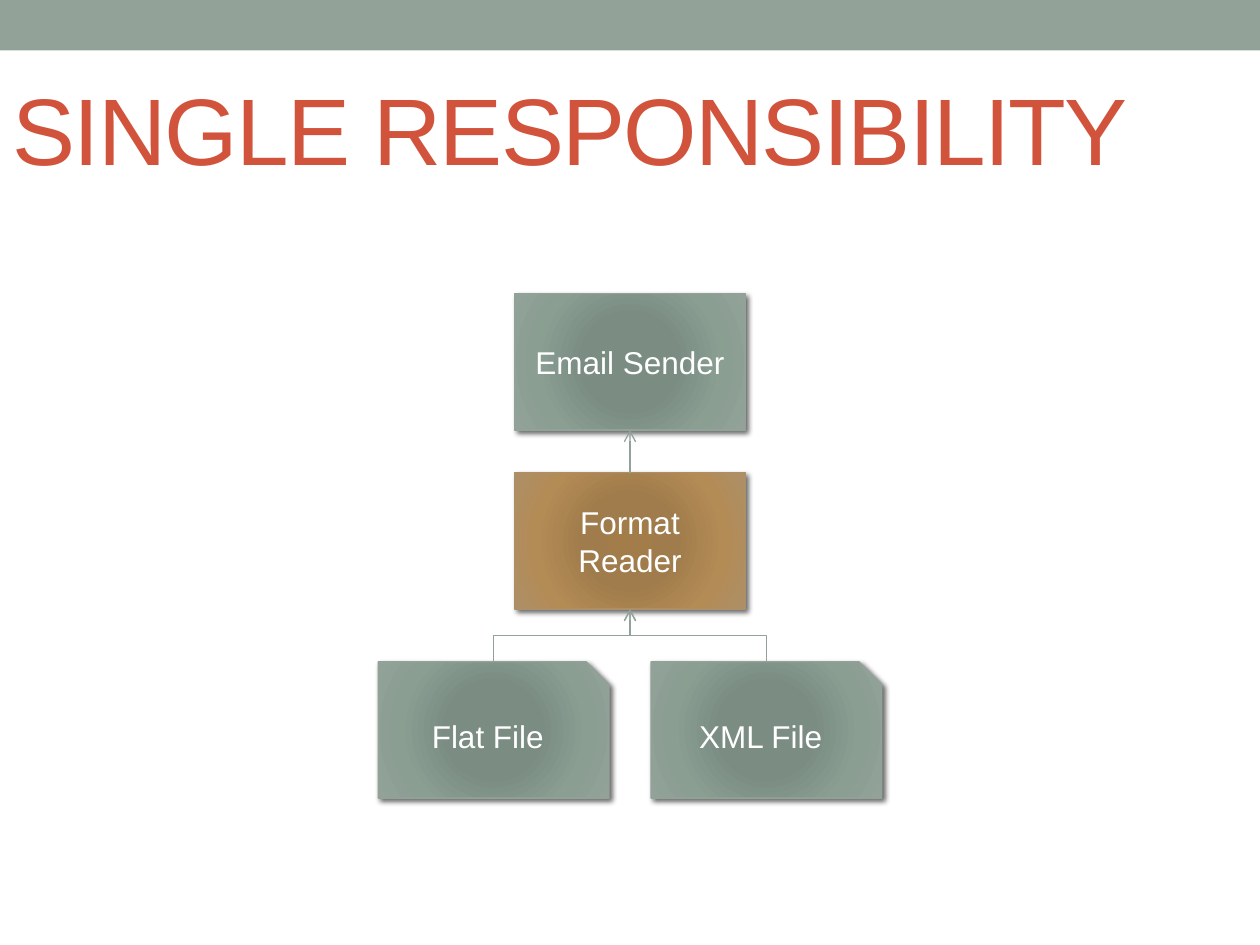
from dataclasses import dataclass

from lxml import etree
from pptx import Presentation
from pptx.dml.color import RGBColor
from pptx.enum.shapes import MSO_CONNECTOR, MSO_SHAPE
from pptx.enum.text import MSO_ANCHOR, MSO_AUTO_SIZE, PP_ALIGN
from pptx.oxml import parse_xml
from pptx.oxml.ns import nsdecls, qn
from pptx.util import Cm, Pt

RECTANGLE = MSO_SHAPE.RECTANGLE
SNIPPED = MSO_SHAPE.SNIP_1_RECTANGLE
ELBOW = MSO_CONNECTOR.ELBOW
TOP, MIDDLE = MSO_ANCHOR.TOP, MSO_ANCHOR.MIDDLE
LEFT, CENTER = PP_ALIGN.LEFT, PP_ALIGN.CENTER
NO_FIT = MSO_AUTO_SIZE.NONE
TOP_SITE, BOTTOM_SITE = 0, 2


@dataclass(frozen=True)
class Theme:
    """Colours and type sizes of the deck."""
    font: str = "Arial"
    title_size: int = 54
    box_size: int = 18
    line_width: float = 0.75
    title: str = "D2533C"
    text: str = "FFFFFF"
    sage: tuple = ("7B8E82", "7B8D83", "8A9E92", "93A299")
    ochre: tuple = ("A37D49", "A07C4C", "B38B55", "AD8F67")
    stops: tuple = (0, 34, 70, 100)


THEME = Theme()
CENTER_X = 12.7
BOX_WIDTH, BOX_HEIGHT = 4.65, 2.75
FILE_OFFSET = 2.75


def add_text(frame, text, size, color, align):
    """Write one formatted run into the first paragraph of a frame."""
    frame.word_wrap = True
    para = frame.paragraphs[0]
    para.alignment = align
    span = para.add_run()
    span.text = text
    span.font.name = THEME.font
    span.font.size = Pt(size)
    span.font.color.rgb = RGBColor.from_string(color)
    return span


def add_title(page, text):
    """Place and format the title placeholder."""
    title = page.shapes.title
    title.left, title.top, title.width, title.height = Cm(0), Cm(1.14), Cm(25.4), Cm(3.18)
    frame = title.text_frame
    frame.auto_size = NO_FIT
    frame.vertical_anchor = TOP
    frame.margin_top = Cm(0.29)
    span = add_text(frame, text, THEME.title_size, THEME.title, LEFT)
    span.font._element.set("spc", "-100")


def add_band(page):
    """Draw the plain band along the top edge."""
    band = page.shapes.add_shape(RECTANGLE, Cm(0), Cm(0), Cm(25.4), Cm(1.02))
    band.shadow.inherit = False
    band.fill.solid()
    band.fill.fore_color.rgb = RGBColor.from_string(THEME.sage[-1])
    band.line.fill.background()


def radial_fill(colors):
    """Return a circular gradient fill element."""
    stops = "".join(
        f'<a:gs pos="{stop * 1000}"><a:srgbClr val="{color}"/></a:gs>'
        for stop, color in zip(THEME.stops, colors))
    return parse_xml(
        f'<a:gradFill {nsdecls("a")} rotWithShape="1"><a:gsLst>{stops}</a:gsLst>'
        '<a:path path="circle"><a:fillToRect l="100000" t="100000" r="100000" b="100000"/>'
        '</a:path></a:gradFill>')


def soft_shadow():
    """Return an effect list with one outer shadow."""
    return parse_xml(
        f'<a:effectLst {nsdecls("a")}><a:outerShdw blurRad="{Pt(3)}" dist="{Pt(2)}" '
        'dir="2700000" rotWithShape="0"><a:srgbClr val="000000"><a:alpha val="60000"/>'
        '</a:srgbClr></a:outerShdw></a:effectLst>')


def add_box(page, kind, center, top, text, colors):
    """Draw a labelled box with gradient and shadow."""
    box = page.shapes.add_shape(
        kind, Cm(center - BOX_WIDTH / 2), Cm(top), Cm(BOX_WIDTH), Cm(BOX_HEIGHT))
    box.line.color.rgb = RGBColor.from_string(colors[-1])
    box.line.width = Pt(THEME.line_width)
    properties = box._element.spPr
    properties.find(qn("a:prstGeom")).addnext(radial_fill(colors))
    properties.append(soft_shadow())
    box.text_frame.vertical_anchor = MIDDLE
    add_text(box.text_frame, text, THEME.box_size, THEME.text, CENTER)
    return box


def add_arrow(page, lower, upper):
    """Run an elbow arrow from the top of one box to the bottom of another."""
    start_x, start_y = lower.left + lower.width // 2, lower.top
    end_x, end_y = upper.left + upper.width // 2, upper.top + upper.height
    arrow = page.shapes.add_connector(ELBOW, start_x, start_y, end_x, end_y)
    if lower.auto_shape_type == RECTANGLE:
        arrow.begin_connect(lower, TOP_SITE)
    arrow.end_connect(upper, BOTTOM_SITE)
    arrow.line.color.rgb = RGBColor.from_string(THEME.sage[-1])
    arrow.line.width = Pt(THEME.line_width)
    properties = arrow._element.spPr
    etree.SubElement(properties.find(qn("a:ln")), qn("a:tailEnd"), type="arrow")
    etree.SubElement(properties, qn("a:effectLst"))
    turn_upright(arrow, start_x, start_y, end_x, end_y)


def turn_upright(arrow, start_x, start_y, end_x, end_y):
    """Rotate an elbow so that it leaves and arrives vertically."""
    length, spread = start_y - end_y, abs(end_x - start_x)
    arrow.left = (start_x + end_x - length) // 2
    arrow.top = (start_y + end_y - spread) // 2
    arrow.width, arrow.height = length, spread
    frame = arrow._element.spPr.find(qn("a:xfrm"))
    frame.set("rot", "16200000")
    frame.set("flipH", "0")
    frame.set("flipV", "1" if end_x < start_x else "0")


def main():
    """Build the slide and save the deck."""
    deck = Presentation()
    deck.slide_width, deck.slide_height = Cm(25.4), Cm(19.05)
    page = deck.slides.add_slide(deck.slide_layouts[5])
    add_band(page)
    add_title(page, "SINGLE RESPONSIBILITY")
    sender = add_box(page, RECTANGLE, CENTER_X, 5.92, "Email Sender", THEME.sage)
    reader = add_box(page, RECTANGLE, CENTER_X, 9.53, "Format Reader", THEME.ochre)
    add_arrow(page, reader, sender)
    for side, text in ((-1, "Flat File"), (1, "XML File")):
        center = CENTER_X + side * FILE_OFFSET
        add_arrow(page, add_box(page, SNIPPED, center, 13.34, text, THEME.sage), reader)
    deck.save("out.pptx")


if __name__ == "__main__":
    main()
